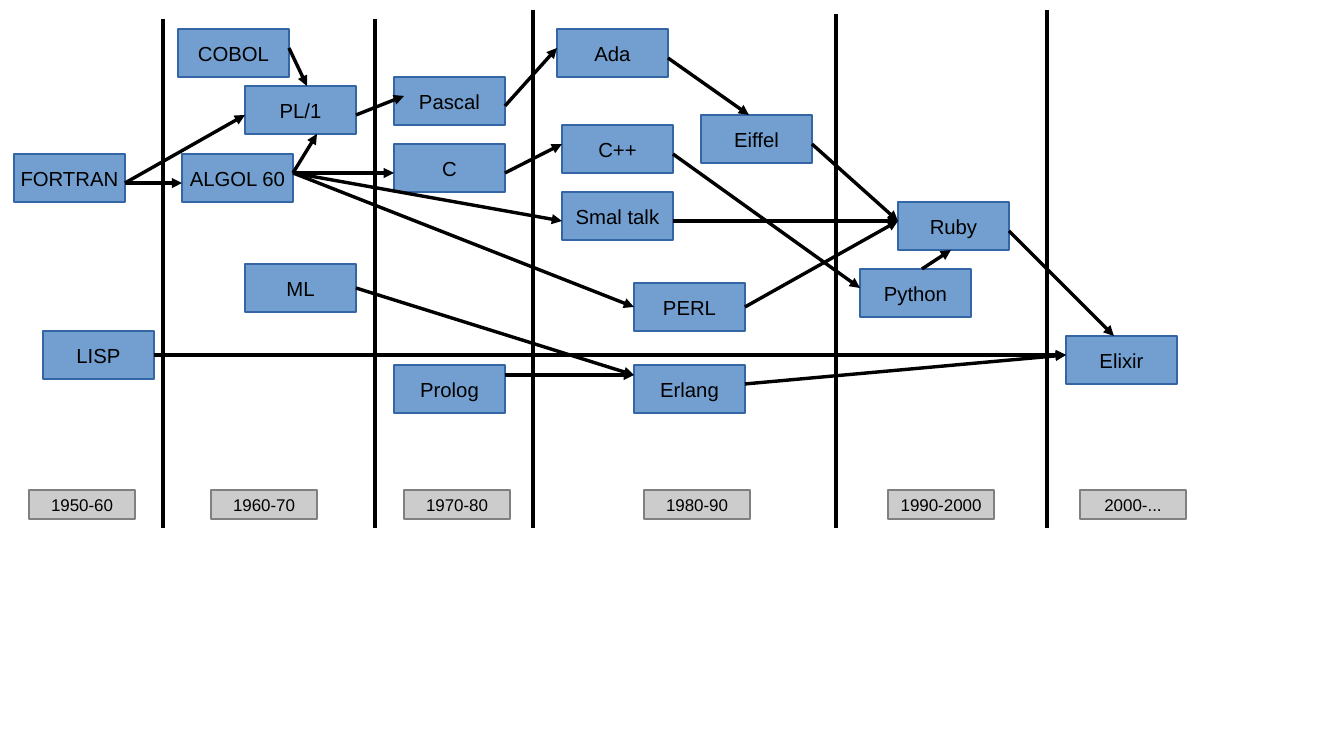
from dataclasses import dataclass
from lxml.etree import SubElement
from pptx import Presentation
from pptx.dml.color import RGBColor
from pptx.enum.shapes import MSO_CONNECTOR, MSO_SHAPE
from pptx.enum.text import MSO_ANCHOR, PP_ALIGN
from pptx.oxml.ns import qn
from pptx.util import Pt


@dataclass(frozen=True)
class Theme:
    font: str = "Arial"
    ink: str = "000000"
    language_fill: str = "729FCF"
    language_edge: str = "3465A4"
    language_size: int = 12
    era_fill: str = "CCCCCC"
    era_edge: str = "808080"
    era_size: int = 10


@dataclass(frozen=True)
class Box:
    left: int
    top: int
    width: int
    height: int


THEME = Theme()
PX_PER_INCH = 122
SLIDE_WIDTH, SLIDE_HEIGHT = 1344, 756
CHART = Box(0, 0, SLIDE_WIDTH, 528)
LANGUAGE_WIDTH, LANGUAGE_HEIGHT = 111, 48
ERA_WIDTH, ERA_HEIGHT, ERA_RISE = 106, 29, 38

LANGUAGES = {
    "FORTRAN": (14, 154), "ALGOL 60": (182, 154), "COBOL": (178, 29),
    "PL/1": (245, 86), "Pascal": (394, 77), "C": (394, 144),
    "LISP": (43, 331), "Smal talk": (562, 192), "Ada": (557, 29),
    "C++": (562, 125), "PERL": (634, 283), "Eiffel": (701, 115),
    "Python": (860, 269), "Ruby": (898, 202), "Elixir": (1066, 336),
    "Erlang": (634, 365), "Prolog": (394, 365), "ML": (245, 264),
}

EXITS = {
    "ML": (111, 24), "Prolog": (111, 10), "Erlang": (111, 19),
    "LISP": (111, 24), "Ruby": (111, 29), "FORTRAN": (111, 29),
    "COBOL": (111, 19), "ALGOL 60": (111, 19), "PL/1": (111, 29),
    "Pascal": (111, 29), "Ada": (111, 29), "Eiffel": (111, 29),
    "C": (111, 29), "C++": (111, 29), "Python": (62, 0),
    "PERL": (111, 24), "Smal talk": (111, 29),
}

INFLUENCES = [
    ("ML", "Erlang", 0, 10), ("Prolog", "Erlang", 0, 10),
    ("Erlang", "Elixir", 0, 19), ("LISP", "Elixir", 0, 19),
    ("Ruby", "Elixir", 48, 0), ("FORTRAN", "ALGOL 60", 0, 29),
    ("FORTRAN", "PL/1", 0, 29), ("COBOL", "PL/1", 62, 0),
    ("ALGOL 60", "C", 0, 29), ("ALGOL 60", "PL/1", 72, 48),
    ("ALGOL 60", "PERL", 0, 24), ("ALGOL 60", "Smal talk", 0, 29),
    ("PL/1", "Pascal", 10, 19), ("Pascal", "Ada", 0, 19),
    ("Ada", "Eiffel", 48, 0), ("Eiffel", "Ruby", 0, 19),
    ("C", "C++", 0, 19), ("C++", "Python", 0, 19),
    ("Python", "Ruby", 53, 48), ("PERL", "Ruby", 0, 19),
    ("Smal talk", "Ruby", 0, 19),
]

ERAS = [
    ("1950-60", 29), ("1960-70", 211), ("1970-80", 404),
    ("1980-90", 644), ("1990-2000", 888), ("2000-...", 1080),
]
DIVIDERS = [(163, 19), (375, 19), (533, 10), (836, 14), (1047, 10)]


def px(length):
    return round(length * 914400 / PX_PER_INCH)


def add_label(slide, box, wording, fill, edge, size):
    label = slide.shapes.add_shape(
        MSO_SHAPE.RECTANGLE, px(box.left), px(box.top), px(box.width), px(box.height))
    label.shadow.inherit = False
    label.fill.solid()
    label.fill.fore_color.rgb = RGBColor.from_string(fill)
    label.line.color.rgb = RGBColor.from_string(edge)
    label.line.width = Pt(0)
    frame = label.text_frame
    frame.word_wrap = False
    frame.vertical_anchor = MSO_ANCHOR.MIDDLE
    paragraph = frame.paragraphs[0]
    paragraph.alignment = PP_ALIGN.CENTER
    run = paragraph.add_run()
    run.text = wording
    run.font.name = THEME.font
    run.font.size = Pt(size)
    run.font.color.rgb = RGBColor.from_string(THEME.ink)


def add_line(slide, start, end, arrow=False):
    line = slide.shapes.add_connector(
        MSO_CONNECTOR.STRAIGHT, *(px(length) for length in (*start, *end)))
    line.line.color.rgb = RGBColor.from_string(THEME.ink)
    line.line.width = Pt(0)
    if arrow:
        SubElement(line.line._get_or_add_ln(), qn("a:tailEnd"), type="triangle")
    SubElement(line._element.spPr, qn("a:effectLst"))


def draw_languages(slide, box):
    for language, (left, top) in LANGUAGES.items():
        place = Box(box.left + left, box.top + top, LANGUAGE_WIDTH, LANGUAGE_HEIGHT)
        add_label(slide, place, language, THEME.language_fill,
                  THEME.language_edge, THEME.language_size)


def draw_influences(slide, box):
    def port(language, across, down):
        left, top = LANGUAGES[language]
        return box.left + left + across, box.top + top + down

    for ancestor, heir, across, down in INFLUENCES:
        add_line(slide, port(ancestor, *EXITS[ancestor]),
                 port(heir, across, down), arrow=True)


def draw_eras(slide, box):
    bottom = box.top + box.height
    for left, top in DIVIDERS:
        add_line(slide, (box.left + left, box.top + top), (box.left + left, bottom))
    for era, left in ERAS:
        place = Box(box.left + left, bottom - ERA_RISE, ERA_WIDTH, ERA_HEIGHT)
        add_label(slide, place, era, THEME.era_fill, THEME.era_edge, THEME.era_size)


def main():
    deck = Presentation()
    deck.slide_width, deck.slide_height = px(SLIDE_WIDTH), px(SLIDE_HEIGHT)
    slide = deck.slides.add_slide(deck.slide_layouts[6])
    draw_languages(slide, CHART)
    draw_influences(slide, CHART)
    draw_eras(slide, CHART)
    deck.save("out.pptx")


if __name__ == "__main__":
    main()
